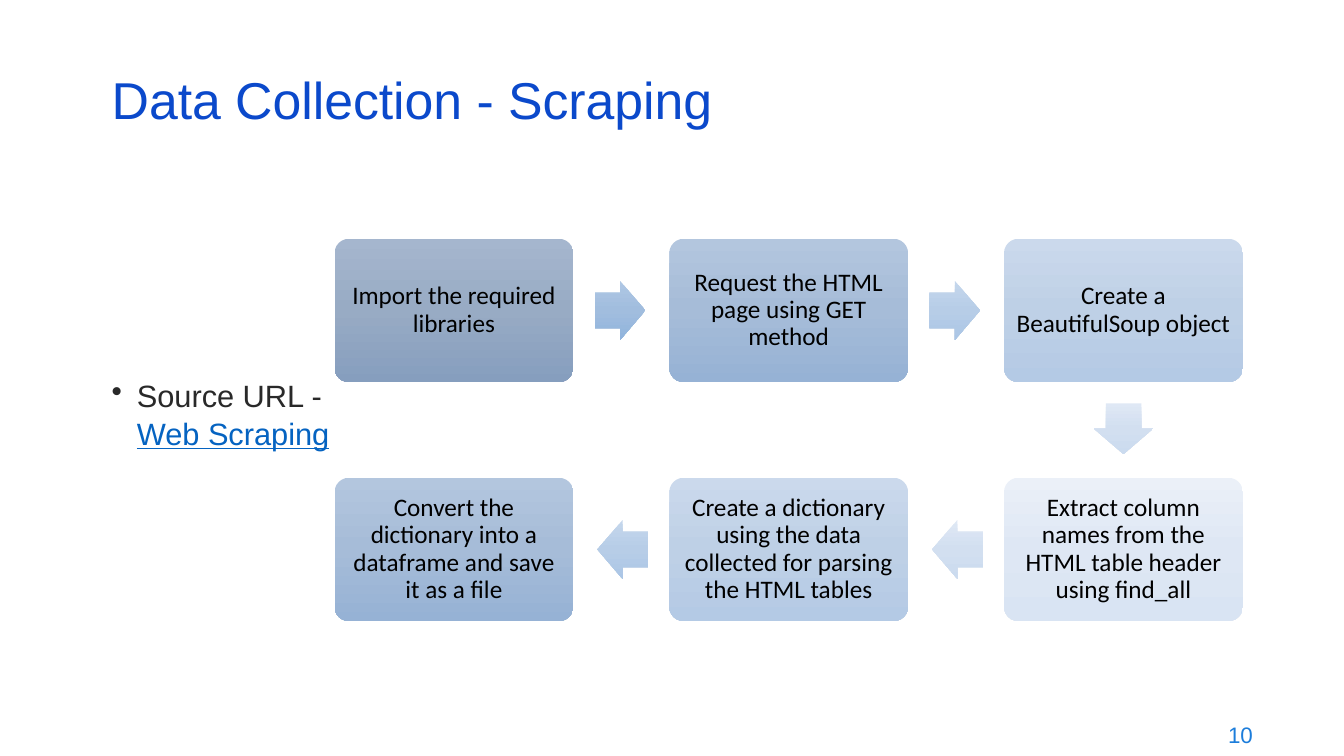
from copy import deepcopy

from pptx import Presentation
from pptx.dml.color import RGBColor
from pptx.enum.shapes import MSO_SHAPE as SHAPE
from pptx.enum.text import MSO_ANCHOR as ANCHOR, PP_ALIGN as ALIGN
from pptx.oxml.ns import qn
from pptx.util import Pt

BLACK = RGBColor(0x00, 0x00, 0x00)
CHARCOAL = RGBColor(0x29, 0x29, 0x29)
TITLE_BLUE = RGBColor(0x0B, 0x49, 0xCB)
NUMBER_BLUE = RGBColor(0x1C, 0x7D, 0xDB)
LINK_BLUE = RGBColor(0x05, 0x63, 0xC1)


def shades(*codes):
    """Return the colours of one gradient from top to bottom."""
    return [RGBColor.from_string(code) for code in codes]


STEP_SHADES = [
    shades("A5B6CE", "98ABC4", "869EBE"),
    shades("B3C6DE", "A6BCD8", "96B2D5"),
    shades("CBD9EC", "BED0E6", "B4CAE5"),
    shades("EBF0F8", "DEE7F4", "D9E4F3"),
]
ARROW_SHADES = [
    shades("AFC7E4", "A1BDDE", "90B4DD"),
    shades("C4D6EC", "B7CDE7", "ABC6E6"),
    shades("DFE8F5", "D2DFF0", "CBDBEF"),
]
STEPS = [
    ("Import the required libraries", 0, 0, 0),
    ("Request the HTML page using GET method", 1, 0, 1),
    ("Create a BeautifulSoup object", 2, 0, 2),
    ("Extract column names from the HTML table header using find_all", 2, 1, 3),
    ("Create a dictionary using the data collected for parsing the HTML tables", 1, 1, 2),
    ("Convert the dictionary into a dataframe and save it as a file", 0, 1, 1),
]
ARROW_LEVELS = [0, 1, 2, 2, 1]


def add_span(para, text, size=18, font="Arial", color=BLACK, underline=None):
    """Add a formatted run of text to a paragraph."""
    span = para.add_run()
    span.text = text
    span.font.size = Pt(size)
    span.font.name = font
    span.font.color.rgb = color
    span.font.underline = underline


def write_text(shape, text, align=ALIGN.LEFT, anchor=ANCHOR.MIDDLE,
               spacing=None, insets=(7.2, 3.6, 7.2, 3.6), **font):
    """Write one paragraph into a shape and return the paragraph."""
    frame = shape.text_frame
    frame.word_wrap = True
    frame.vertical_anchor = anchor
    frame.margin_left, frame.margin_top, frame.margin_right, frame.margin_bottom = map(Pt, insets)
    para = frame.paragraphs[0]
    para.alignment = align
    para.line_spacing = spacing
    add_span(para, text, **font)
    return para


def add_text(page, box, text, **style):
    """Add a text box and return its paragraph."""
    return write_text(page.shapes.add_textbox(*map(Pt, box)), text, **style)


def add_gradient_shape(page, kind, box, colors, adjustments):
    """Add a borderless preset shape with an upright gradient."""
    shape = page.shapes.add_shape(kind, *map(Pt, box))
    shape.shadow.inherit = False
    shape.line.fill.background()
    for index, value in enumerate(adjustments):
        shape.adjustments[index] = value
    fill = shape.fill
    fill.gradient()
    fill.gradient_angle = 270
    gradient = shape.element.spPr.find(qn("a:gradFill"))
    gradient.set("rotWithShape", "0")
    stop_list = gradient.find(qn("a:gsLst"))
    stop_list.insert(1, deepcopy(stop_list[0]))
    for index, (stop, color) in enumerate(zip(fill.gradient_stops, colors)):
        stop.position = index / 2
        stop.color.rgb = color
    return shape


def add_source_note(page, box):
    """Add the bulleted source reference."""
    para = add_text(page, box, "Source URL - ", anchor=ANCHOR.TOP, spacing=1.03,
                    insets=(7.2, 0, 0, 0), size=22, color=CHARCOAL)
    properties = para._p.get_or_add_pPr()
    properties.set("marL", str(Pt(18)))
    properties.set("indent", str(-Pt(18)))
    bullet = properties.makeelement(qn("a:buChar"), {"char": "•"})
    properties.append(bullet)
    add_span(para, "Web Scraping", size=22, color=LINK_BLUE, underline=True)


def add_flow(page, box):
    """Add the six steps in a U-shaped path with arrows between them."""
    left, top, width, height = box
    step_width, step_height = 170.6, 102.3
    column_pitch = (width - step_width) / 2
    row_pitch = height - step_height
    arrow_length, arrow_width, lead = 36.2, 42.3, 15.2
    places = [(left + column * column_pitch, top + row * row_pitch)
              for _, column, row, _ in STEPS]

    for (text, _, _, level), (x, y) in zip(STEPS, places):
        step = add_gradient_shape(page, SHAPE.ROUNDED_RECTANGLE,
                                  (x, y, step_width, step_height), STEP_SHADES[level], [0.1])
        write_text(step, text, align=ALIGN.CENTER, spacing=0.9,
                   insets=(5, 5, 5, 5), font="Calibri")

    for level, start, end in zip(ARROW_LEVELS, places, places[1:]):
        across = (end[0] > start[0]) - (end[0] < start[0])
        down = int(end[1] > start[1])
        reach = lead + arrow_length / 2
        center_x = start[0] + step_width / 2 + across * (step_width / 2 + reach)
        center_y = start[1] + step_height / 2 + down * (step_height / 2 + reach)
        arrow_box = (center_x - arrow_length / 2, center_y - arrow_width / 2,
                     arrow_length, arrow_width)
        arrow = add_gradient_shape(page, SHAPE.RIGHT_ARROW, arrow_box,
                                   ARROW_SHADES[level], [0.6, 0.5])
        arrow.rotation = 90 if down else 90 * (1 - across)


def main():
    """Build and save the deck."""
    deck = Presentation()
    deck.slide_width, deck.slide_height = Pt(960), Pt(540)
    page = deck.slides.add_slide(deck.slide_layouts[6])
    add_text(page, (686, 509, 216, 32), "10", align=ALIGN.RIGHT, size=16, color=NUMBER_BLUE)
    add_source_note(page, (72.7, 268, 165.6, 90))
    add_text(page, (72.7, 54.7, 828, 43.2), "Data Collection - Scraping",
             spacing=0.7, size=37, color=TITLE_BLUE)
    add_flow(page, (239, 170.6, 648.8, 273))
    deck.save("out.pptx")


if __name__ == "__main__":
    main()
